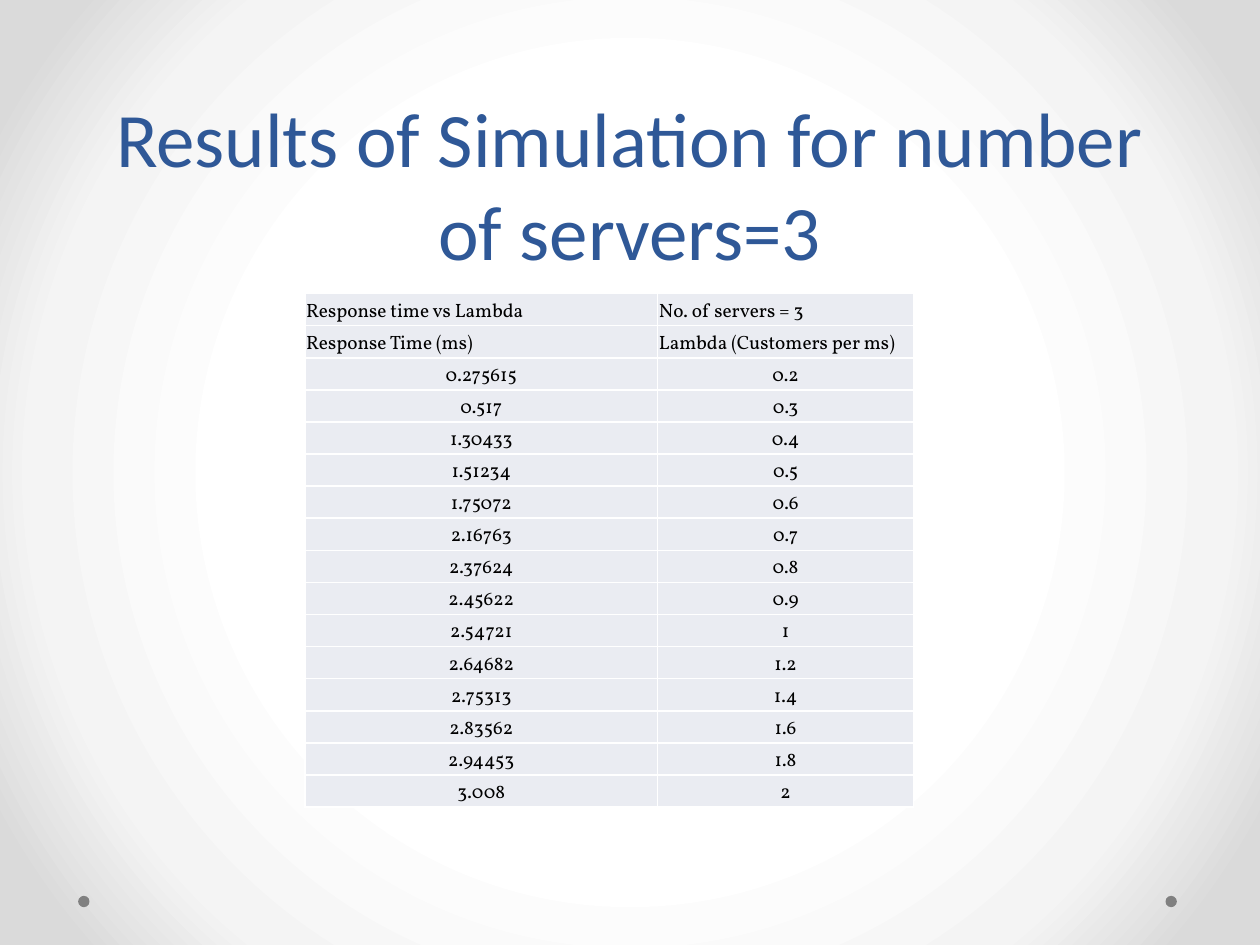
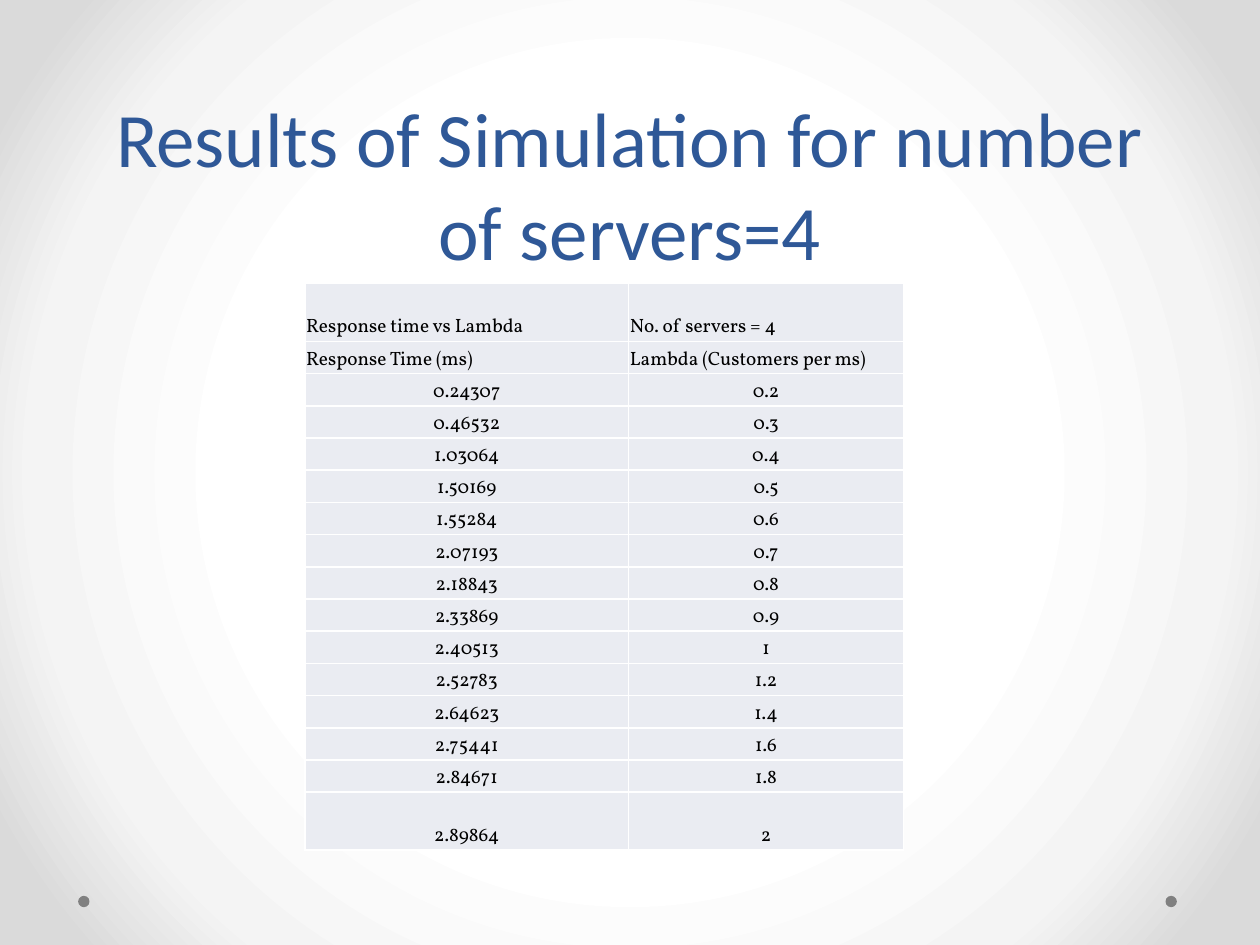
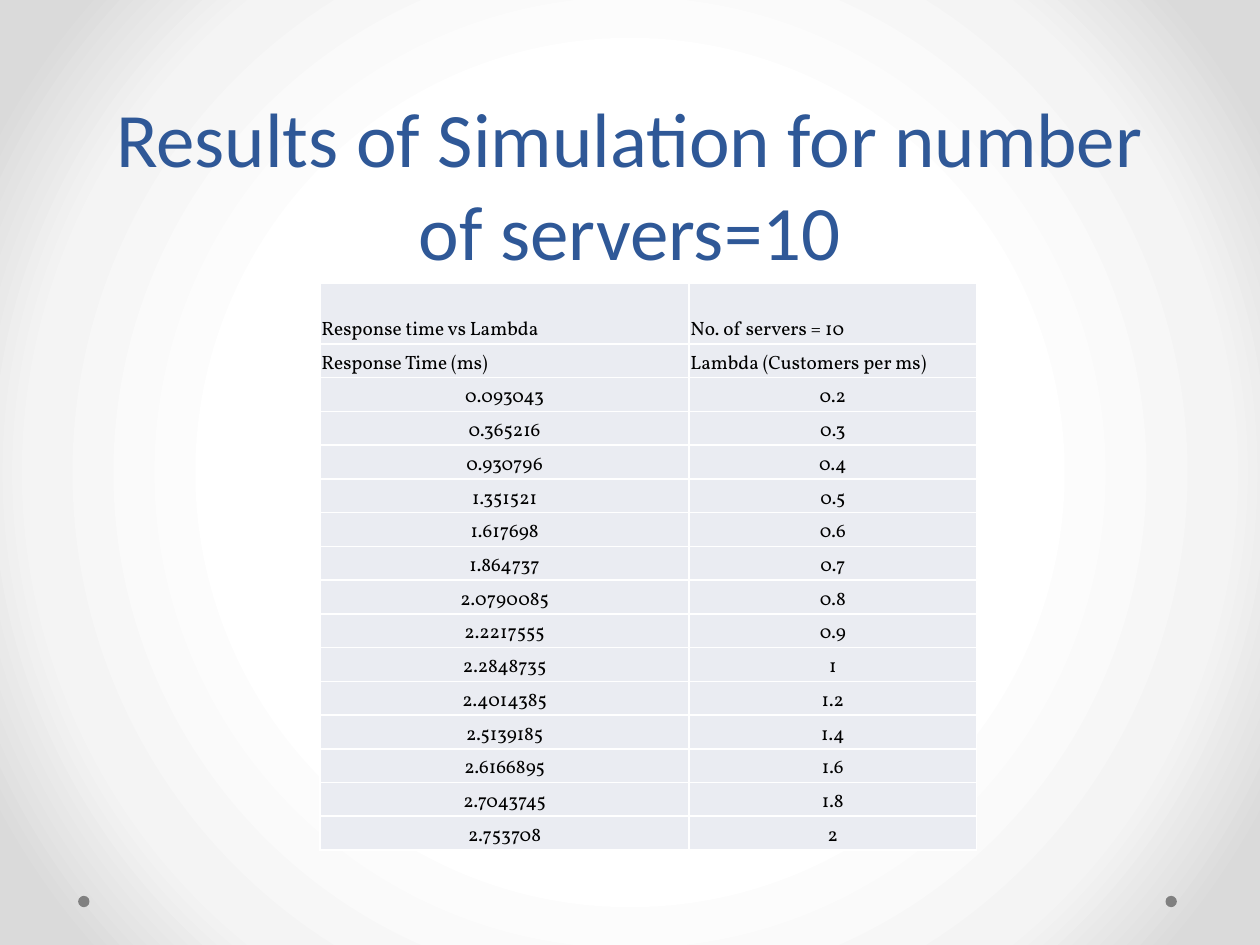
"""Build three slides of simulation results, one table per number of servers."""
from lxml import etree
from pptx import Presentation
from pptx.dml.color import RGBColor
from pptx.enum.shapes import MSO_SHAPE
from pptx.enum.text import MSO_ANCHOR, PP_ALIGN
from pptx.oxml import parse_xml
from pptx.oxml.ns import nsdecls, qn
from pptx.util import Inches, Pt

COLORS = {"title": "2F5897", "dot": "808080", "cell": "EAECF2", "border": "FFFFFF", "text": "000000"}
GRADIENT = [(50, "FFFFFF"), (76, "F4F4F4"), (92, "DADADA")]
TITLE_FONT, TABLE_FONT = "Calibri", "Vollkorn"
DOT_LEFTS, DOT_TOP, DOT_SIZE = (9.25, 0.62), 7.11, 0.09

LAMBDAS = ["0.2", "0.3", "0.4", "0.5", "0.6", "0.7", "0.8", "0.9", "1", "1.2", "1.4", "1.6", "1.8", "2"]
HEADER_ROWS = 2
RESULTS = [
    {
        "servers": 3, "left": 2.42, "top": 2.33, "height": 4.08, "columns": (2.8, 2.03), "tall_rows": {},
        "times": ["0.275615", "0.517", "1.30433", "1.51234", "1.75072", "2.16763", "2.37624",
                  "2.45622", "2.54721", "2.64682", "2.75313", "2.83562", "2.94453", "3.008"],
    },
    {
        "servers": 4, "left": 2.42, "top": 2.25, "height": 4.5, "columns": (2.57, 2.18),
        "tall_rows": {0: 0.46, 15: 0.46},
        "times": ["0.24307", "0.46532", "1.03064", "1.50169", "1.55284", "2.07193", "2.18843",
                  "2.33869", "2.40513", "2.52783", "2.64623", "2.75441", "2.84671", "2.89864"],
    },
    {
        "servers": 10, "left": 2.54, "top": 2.25, "height": 4.5, "columns": (2.93, 2.28),
        "tall_rows": {0: 0.48},
        "times": ["0.093043", "0.365216", "0.930796", "1.351521", "1.617698", "1.864737", "2.0790085",
                  "2.2217555", "2.2848735", "2.4014385", "2.5139185", "2.6166895", "2.7043745", "2.753708"],
    },
]


def color(name):
    return RGBColor.from_string(COLORS[name])


def write(frame, text, font, size, color_name, align):
    para = frame.paragraphs[0]
    para.alignment = align
    span = para.add_run()
    span.text = text
    span.font.name = font
    span.font.size = Pt(size)
    span.font.color.rgb = color(color_name)


def set_background(page):
    page.background.fill.solid()
    properties = page.element.find(".//" + qn("p:bgPr"))
    stops = "".join(
        f'<a:gs pos="{place * 1000}"><a:srgbClr val="{value}"/></a:gs>' for place, value in GRADIENT
    )
    properties.replace(properties[0], parse_xml(
        f'<a:gradFill {nsdecls("a")} rotWithShape="1"><a:gsLst>{stops}</a:gsLst>'
        '<a:path path="circle"><a:fillToRect l="50000" t="50000" r="50000" b="50000"/></a:path></a:gradFill>'
    ))


def add_dots(page):
    for left in DOT_LEFTS:
        dot = page.shapes.add_shape(
            MSO_SHAPE.OVAL, Inches(left), Inches(DOT_TOP), Inches(DOT_SIZE), Inches(DOT_SIZE))
        dot.shadow.inherit = False
        dot.fill.solid()
        dot.fill.fore_color.rgb = color("dot")
        dot.line.fill.background()


def add_title(page, text):
    box = page.shapes.add_textbox(Inches(0.5), Inches(0.83), Inches(9), Inches(1.25))
    box.text_frame.word_wrap = True
    box.text_frame.vertical_anchor = MSO_ANCHOR.MIDDLE
    write(box.text_frame, text, TITLE_FONT, 44, "title", PP_ALIGN.CENTER)


def add_borders(cell):
    properties = cell._tc.get_or_add_tcPr()
    for index, side in enumerate(("lnL", "lnR", "lnT", "lnB")):
        line = etree.Element(qn(f"a:{side}"), w=str(Pt(1)))
        fill = etree.SubElement(line, qn("a:solidFill"))
        etree.SubElement(fill, qn("a:srgbClr"), val=COLORS["border"])
        properties.insert(index, line)


def fill_cell(cell, text, align):
    cell.margin_left = cell.margin_right = cell.margin_top = Inches(0.01)
    cell.margin_bottom = 0
    cell.vertical_anchor = MSO_ANCHOR.BOTTOM
    cell.fill.solid()
    cell.fill.fore_color.rgb = color("cell")
    add_borders(cell)
    write(cell.text_frame, text, TABLE_FONT, 11, "text", align)


def add_results(page, result):
    rows = [
        ("Response time vs Lambda", f"No. of servers = {result['servers']}"),
        ("Response Time (ms)", "Lambda (Customers per ms)"),
        *zip(result["times"], LAMBDAS),
    ]
    widths, tall_rows = result["columns"], result["tall_rows"]
    row_height = (result["height"] - sum(tall_rows.values())) / (len(rows) - len(tall_rows))
    table = page.shapes.add_table(
        len(rows), len(widths), Inches(result["left"]), Inches(result["top"]),
        Inches(sum(widths)), Inches(result["height"])).table
    table.first_row = table.horz_banding = False
    for column, width in zip(table.columns, widths):
        column.width = Inches(width)
    for index, texts in enumerate(rows):
        table.rows[index].height = Inches(tall_rows.get(index, row_height))
        align = PP_ALIGN.LEFT if index < HEADER_ROWS else PP_ALIGN.CENTER
        for column, text in enumerate(texts):
            fill_cell(table.cell(index, column), text, align)


def main():
    deck = Presentation()
    deck.slide_width, deck.slide_height = Inches(10), Inches(7.5)
    for result in RESULTS:
        page = deck.slides.add_slide(deck.slide_layouts[6])
        set_background(page)
        add_dots(page)
        add_title(page, f"Results of Simulation for number of servers={result['servers']}")
        add_results(page, result)
    deck.save("out.pptx")


if __name__ == "__main__":
    main()
